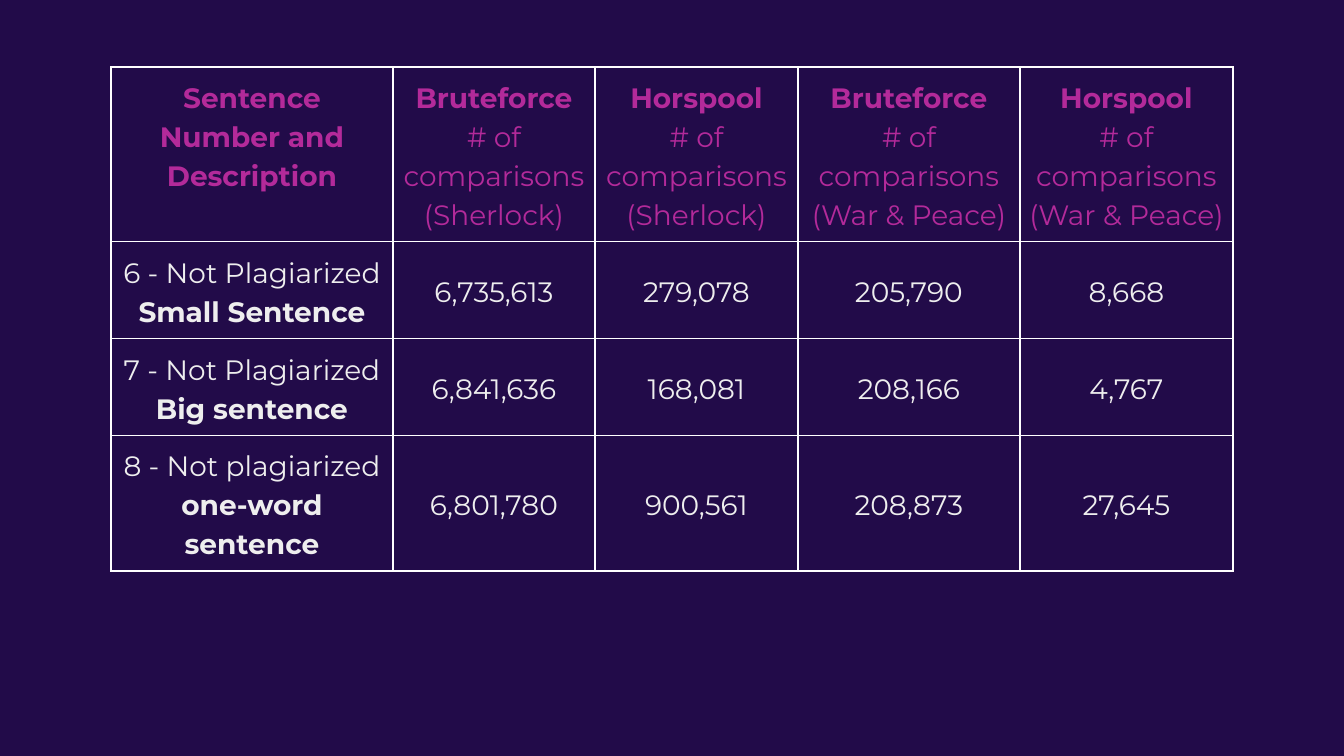
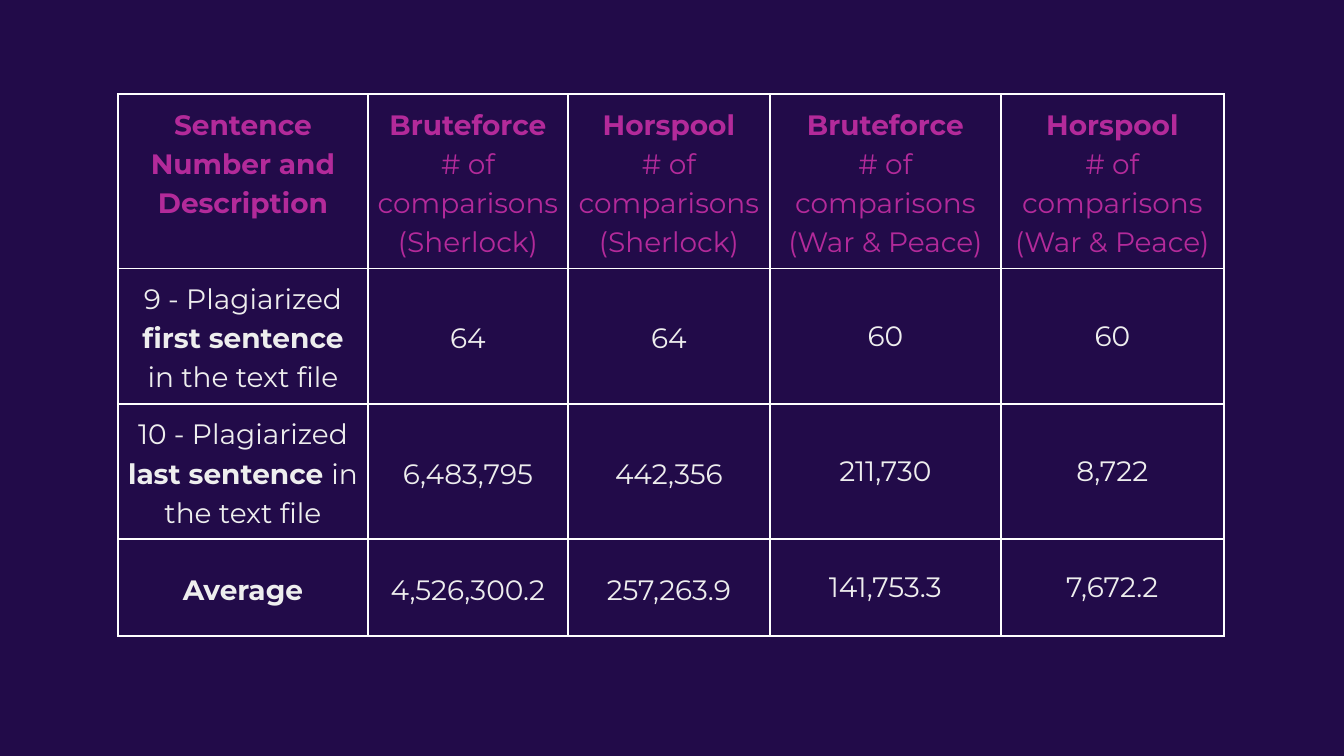
"""Build two slides of string-search comparison tables."""
from copy import deepcopy

from lxml.etree import SubElement
from pptx import Presentation
from pptx.dml.color import RGBColor
from pptx.enum.text import MSO_ANCHOR, PP_ALIGN
from pptx.oxml.ns import qn
from pptx.util import Pt

PX = 914400 / 134.4
COLORS = {"background": "220B49", "heading": "B32A9A", "body": "EEEEEE", "border": "FFFFFF"}
FONT = {"name": "Montserrat", "size": Pt(15)}
INSET = 9
ROW_HEIGHT = 97

TIGHT = {"alignment": PP_ALIGN.CENTER, "line_spacing": 1.15}
SPACE_AFTER = {**TIGHT, "space_after": Pt(12)}
SPACE_AROUND = {**SPACE_AFTER, "space_before": Pt(12)}
SINGLE = {"alignment": PP_ALIGN.CENTER}

HEADINGS = [("Bruteforce", "Sherlock"), ("Horspool", "Sherlock"),
            ("Bruteforce", "War & Peace"), ("Horspool", "War & Peace")]

UNPLAGIARIZED = {
    "left": 111, "top": 67, "height": 535, "columns": [282, 202, 203, 222, 213],
    "label_format": SPACE_AFTER, "last_format": SPACE_AROUND,
    "rows": [
        ([("6 - Not Plagiarized ", False), ("Small Sentence", True)],
         ["6,735,613", "279,078", "205,790", "8,668"]),
        ([("7 - Not Plagiarized ", False), ("Big sentence", True)],
         ["6,841,636", "168,081", "208,166", "4,767"]),
        ([("8 - Not plagiarized ", False), ("one-word sentence", True)],
         ["6,801,780", "900,561", "208,873", "27,645"]),
    ],
}
PLAGIARIZED = {
    "left": 118, "top": 94, "height": 531, "columns": [250, 200, 202, 231, 223],
    "label_format": TIGHT, "last_format": SINGLE,
    "rows": [
        ([("9 - Plagiarized ", False), ("first sentence ", True), ("in the text file", False)],
         ["64", "64", "60", "60"]),
        ([("10 - Plagiarized ", False), ("last sentence ", True), ("in the text file", False)],
         ["6,483,795", "442,356", "211,730", "8,722"]),
        ([("Average", True)],
         ["4,526,300.2", "257,263.9", "141,753.3", "7,672.2"]),
    ],
}


def emu(pixels):
    """Turn px into EMU."""
    return round(pixels * PX)


def set_attributes(target, values):
    """Set each named attribute on the target."""
    for name, value in values.items():
        setattr(target, name, value)


def add_borders(cell):
    """Draw a one-point line on all four sides of a cell."""
    properties = cell._tc.get_or_add_tcPr()
    for side in ("lnL", "lnR", "lnT", "lnB"):
        line = SubElement(properties, qn(f"a:{side}"), w=str(Pt(1)))
        fill = SubElement(line, qn("a:solidFill"))
        SubElement(fill, qn("a:srgbClr"), val=COLORS["border"])


def add_run(paragraph, text, bold, color):
    """Add one run in the deck font."""
    run = paragraph.add_run()
    run.text = text
    set_attributes(run.font, {**FONT, "bold": bold})
    run.font.color.rgb = RGBColor.from_string(COLORS[color])
    return run


def add_break(paragraph, run):
    """Add a line break that keeps the format of the run before it."""
    paragraph.add_line_break()
    paragraph._p[-1].append(deepcopy(run._r.rPr))


def format_cell(cell, paragraph_format, anchor):
    """Style a cell and return its paragraph."""
    margins = ("margin_left", "margin_right", "margin_top", "margin_bottom")
    set_attributes(cell, dict.fromkeys(margins, emu(INSET)))
    cell.vertical_anchor = anchor
    add_borders(cell)
    cell.fill.background()
    paragraph = cell.text_frame.paragraphs[0]
    set_attributes(paragraph, paragraph_format)
    return paragraph


def fill_header(table):
    """Write the heading row."""
    paragraph = format_cell(table.cell(0, 0), TIGHT, MSO_ANCHOR.TOP)
    add_run(paragraph, "Sentence Number and Description", True, "heading")
    for column, (algorithm, book) in enumerate(HEADINGS, 1):
        paragraph = format_cell(table.cell(0, column), SPACE_AFTER, MSO_ANCHOR.TOP)
        run = add_run(paragraph, algorithm, True, "heading")
        add_break(paragraph, run)
        add_run(paragraph, f"# of comparisons ({book})", False, "heading")


def fill_row(table, row, label, values, content):
    """Write a sentence label and its four comparison counts."""
    formats = [content["label_format"], TIGHT, TIGHT] + [content["last_format"]] * 2
    texts = [label] + [[(value, False)] for value in values]
    for column, (runs, paragraph_format) in enumerate(zip(texts, formats)):
        paragraph = format_cell(table.cell(row, column), paragraph_format, MSO_ANCHOR.MIDDLE)
        for text, bold in runs:
            add_run(paragraph, text, bold, "body")


def add_comparison_slide(presentation, content):
    """Add a slide that holds one comparison table."""
    slide = presentation.slides.add_slide(presentation.slide_layouts[6])
    widths, rows = content["columns"], content["rows"]
    frame = slide.shapes.add_table(
        len(rows) + 1, len(widths), emu(content["left"]), emu(content["top"]),
        emu(sum(widths)), emu(content["height"]))
    table = frame.table
    set_attributes(table, {"first_row": False, "horz_banding": False})
    for column, width in zip(table.columns, widths):
        column.width = emu(width)
    for row in table.rows:
        row.height = emu(ROW_HEIGHT)
    frame.height = emu(content["height"])
    fill_header(table)
    for index, (label, values) in enumerate(rows, 1):
        fill_row(table, index, label, values, content)


def main():
    """Build and save the presentation."""
    presentation = Presentation()
    set_attributes(presentation, {"slide_width": emu(1344), "slide_height": emu(756)})
    background = presentation.slide_master.background.fill
    background.solid()
    background.fore_color.rgb = RGBColor.from_string(COLORS["background"])
    for content in (UNPLAGIARIZED, PLAGIARIZED):
        add_comparison_slide(presentation, content)
    presentation.save("out.pptx")


if __name__ == "__main__":
    main()
